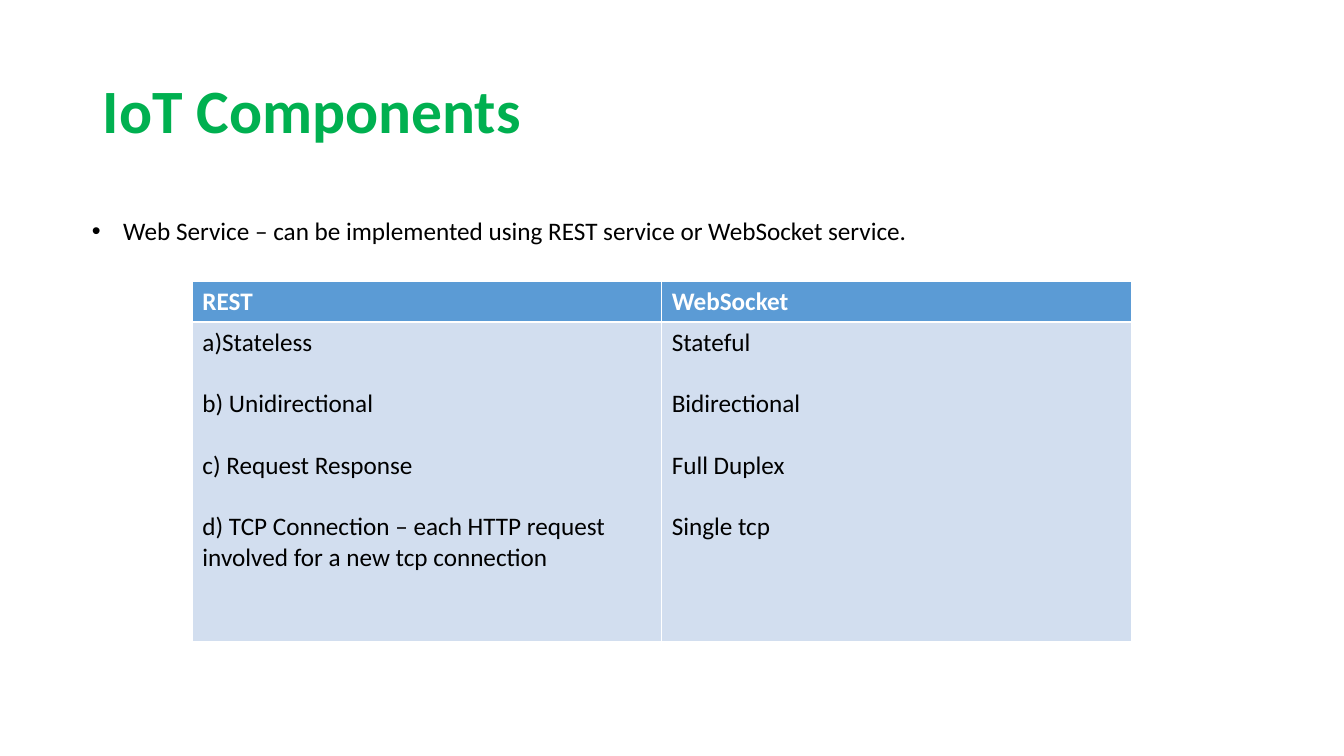
import dataclasses

import lxml.etree
import pptx
import pptx.dml.color
import pptx.enum.text
import pptx.oxml.ns
import pptx.util

Cm = pptx.util.Cm
Pt = pptx.util.Pt
ANCHOR = pptx.enum.text.MSO_ANCHOR
AUTO_SIZE = pptx.enum.text.MSO_AUTO_SIZE
LEFT = pptx.enum.text.PP_ALIGN.LEFT


@dataclasses.dataclass(frozen=True)
class Theme:
    font: str = "Calibri"
    title_size: int = 44
    text_size: int = 18
    title_color: str = "00B050"
    text_color: str = "000000"
    light: str = "FFFFFF"
    header_fill: str = "5B9BD5"
    body_fill: str = "D2DEEF"
    thin_line: float = 0.45
    thick_line: float = 1.47


class SlideBuilder:
    def __init__(self, slide, theme):
        self.slide = slide
        self.theme = theme

    def apply(self, target, values):
        for name, value in values.items():
            setattr(target, name, value)

    def add_element(self, parent, tag, **attributes):
        return lxml.etree.SubElement(parent, pptx.oxml.ns.qn(tag), attributes)

    def place(self, shape, left, top, width, height):
        self.apply(shape, {"left": Cm(left), "top": Cm(top),
                           "width": Cm(width), "height": Cm(height)})

    def set_text(self, para, text, size, color, bold=False, **layout):
        self.apply(para, {"alignment": LEFT, "space_before": Pt(0), **layout})
        span = para.add_run()
        span.text = text
        self.apply(span.font, {"name": self.theme.font, "size": Pt(size), "bold": bold})
        span.font.color.rgb = pptx.dml.color.RGBColor.from_string(color)

    def title(self, text, *bounds):
        box = self.slide.shapes.title
        self.place(box, *bounds)
        box.text_frame.vertical_anchor = ANCHOR.MIDDLE
        self.set_text(box.text_frame.paragraphs[0], text, self.theme.title_size,
                      self.theme.title_color, bold=True, line_spacing=0.9)

    def bullet(self, text, *bounds):
        box = self.slide.placeholders[1]
        self.place(box, *bounds)
        self.apply(box.text_frame, {"auto_size": AUTO_SIZE.SHAPE_TO_FIT_TEXT,
                                    "vertical_anchor": ANCHOR.TOP})
        para = box.text_frame.paragraphs[0]
        properties = para._p.get_or_add_pPr()
        properties.set("marL", str(Cm(0.79)))
        properties.set("indent", str(-Cm(0.79)))
        bullet_color = self.add_element(properties, "a:buClr")
        self.add_element(bullet_color, "a:srgbClr", val=self.theme.text_color)
        self.add_element(properties, "a:buFont", typeface="Arial")
        self.add_element(properties, "a:buChar", char="•")
        self.set_text(para, text, self.theme.text_size, self.theme.text_color)

    def borders(self, cell, thick_side):
        properties = cell._tc.get_or_add_tcPr()
        for side in ("lnL", "lnR", "lnT", "lnB"):
            width = self.theme.thick_line if side == thick_side else self.theme.thin_line
            line = self.add_element(properties, f"a:{side}", w=str(Pt(width)))
            fill = self.add_element(line, "a:solidFill")
            self.add_element(fill, "a:srgbClr", val=self.theme.light)

    def cell(self, cell, lines, is_header):
        theme = self.theme
        self.borders(cell, "lnB" if is_header else "lnT")
        cell.fill.solid()
        fill = theme.header_fill if is_header else theme.body_fill
        cell.fill.fore_color.rgb = pptx.dml.color.RGBColor.from_string(fill)
        frame = cell.text_frame
        color = theme.light if is_header else theme.text_color
        for index, text in enumerate(lines):
            para = frame.add_paragraph() if index else frame.paragraphs[0]
            self.set_text(para, text, theme.text_size, color, bold=is_header,
                          space_before=Pt(22 if index else 0))

    def table(self, columns, left, top, column_width, row_heights):
        frame = self.slide.shapes.add_table(
            len(row_heights), len(columns), Cm(left), Cm(top),
            Cm(column_width * len(columns)), Cm(sum(row_heights)))
        table = frame.table
        for row, height in zip(table.rows, row_heights):
            row.height = Cm(height)
        for index, (heading, lines) in enumerate(columns.items()):
            table.columns[index].width = Cm(column_width)
            self.cell(table.cell(0, index), [heading], True)
            self.cell(table.cell(1, index), lines, False)


def main():
    deck = pptx.Presentation()
    deck.slide_width, deck.slide_height = Cm(33.88), Cm(19.05)
    page = SlideBuilder(deck.slides.add_slide(deck.slide_layouts[1]), Theme())
    page.title("IoT Components", 2.34, 1.02, 29.21, 3.68)
    page.bullet("Web Service – can be implemented using REST service or WebSocket service.",
                2.06, 5.31, 26.42, 1.02)
    comparison = {
        "REST": ["a)Stateless", "b) Unidirectional", "c) Request Response",
                 "d) TCP Connection – each HTTP request involved for a new tcp connection"],
        "WebSocket": ["Stateful", "Bidirectional", "Full Duplex", "Single tcp"],
    }
    page.table(comparison, 4.85, 7.09, 11.83, [1.03, 8.05])
    deck.save("out.pptx")


if __name__ == "__main__":
    main()
